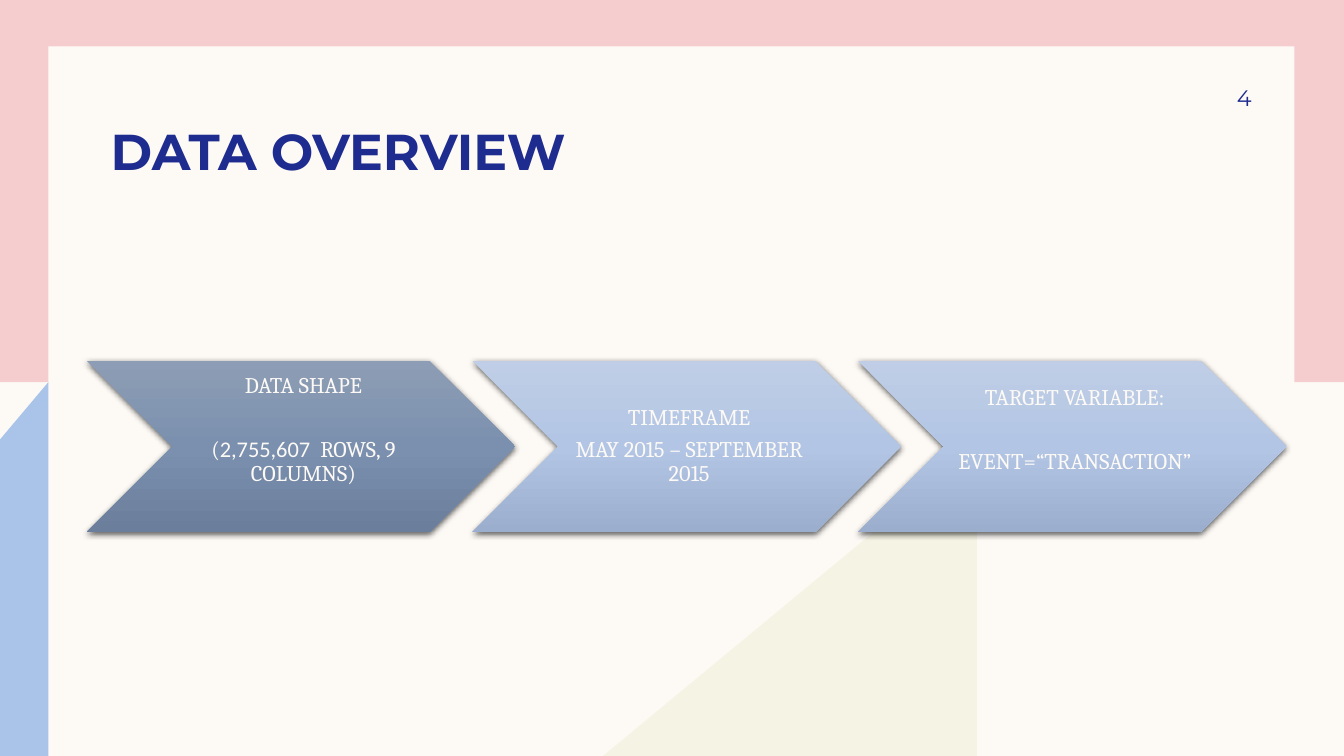
from copy import deepcopy

from lxml import etree
from pptx import Presentation
from pptx import util as u
from pptx.dml.color import RGBColor
from pptx.enum import shapes, text
from pptx.oxml.ns import qn

COLORS = {
    "cream": "FDFAF6", "pink": "F5CDCE", "sand": "EDEED3", "sky": "AAC3E8",
    "navy": "1F2C8F", "black": "000000",
}
SLATE = ("8D9DB5", "7B90AE", "6B7F9D")
PALE = ("BFCEE6", "B2C5E4", "9BAECD")


class Deck:
    """Holds the style and the current slide."""

    heading_font = "Montserrat"
    body_font = "Cambria"
    body_size = 16

    def __init__(self):
        self.prs = Presentation()
        self.prs.slide_width = u.Inches(13.33)
        self.prs.slide_height = u.Inches(7.5)
        self.slide = self.prs.slides.add_slide(self.prs.slide_layouts[6])
        self.paint(self.slide.background.fill, "cream")

    def paint(self, fill, color):
        fill.solid()
        fill.fore_color.rgb = RGBColor.from_string(COLORS[color])

    def plain(self, shape, color, alpha=None):
        shape.shadow.inherit = False
        shape.line.fill.background()
        self.paint(shape.fill, color)
        if alpha:
            rgb = shape._element.spPr.find(f".//{qn('a:srgbClr')}")
            etree.SubElement(rgb, qn("a:alpha"), val=str(alpha * 1000))

    def panel(self, box, color):
        rect = self.slide.shapes.add_shape(
            shapes.MSO_SHAPE.RECTANGLE, *map(u.Inches, box))
        self.plain(rect, color)

    def polygon(self, points, color, alpha=None):
        corners = [(u.Inches(x), u.Inches(y)) for x, y in points]
        builder = self.slide.shapes.build_freeform(*corners[0])
        builder.add_line_segments(corners[1:], close=True)
        self.plain(builder.convert_to_shape(), color, alpha)

    def run(self, paragraph, words, font, size, color, bold=False):
        run = paragraph.add_run()
        run.text = words
        style = {"name": font, "size": u.Pt(size), "bold": bold}
        for key, value in style.items():
            setattr(run.font, key, value)
        run.font.color.rgb = RGBColor.from_string(COLORS[color])

    def frame(self, shape, **settings):
        for key, value in {"word_wrap": True, **settings}.items():
            setattr(shape.text_frame, key, value)
        return shape.text_frame

    def label(self, box, words, size, bold=False, **settings):
        textbox = self.slide.shapes.add_textbox(*map(u.Inches, box))
        frame = self.frame(textbox, **settings)
        self.run(frame.paragraphs[0], words, self.heading_font, size, "navy", bold)

    def chevron(self, box, gradient, lines, gap, bottom):
        arrow = self.slide.shapes.add_shape(
            shapes.MSO_SHAPE.CHEVRON, *map(u.Inches, box))
        arrow.line.fill.background()
        self.shade(arrow, gradient)
        self.drop_shadow(arrow)
        frame = self.frame(
            arrow, vertical_anchor=text.MSO_ANCHOR.MIDDLE,
            margin_left=u.Inches(0.07), margin_right=u.Inches(0.02),
            margin_top=u.Inches(0.02), margin_bottom=u.Inches(bottom))
        for i, parts in enumerate(lines):
            paragraph = frame.add_paragraph() if i else frame.paragraphs[0]
            layout = {"alignment": text.PP_ALIGN.CENTER, "line_spacing": 0.9,
                      "space_before": u.Pt(gap if i else 0)}
            for key, value in layout.items():
                setattr(paragraph, key, value)
            for words, font in parts:
                self.run(paragraph, words, font, self.body_size, "cream")

    def shade(self, shape, gradient):
        shape.fill.gradient()
        shape.fill.gradient_angle = 270
        stop_list = shape._element.spPr.find(f".//{qn('a:gsLst')}")
        stop_list.insert(1, deepcopy(stop_list[0]))
        for i, stop in enumerate(shape.fill.gradient_stops):
            stop.position = i / 2
            stop.color.rgb = RGBColor.from_string(gradient[i])

    def drop_shadow(self, shape):
        shape.shadow.inherit = False
        effects = shape._element.spPr.find(qn("a:effectLst"))
        shadow = etree.SubElement(
            effects, qn("a:outerShdw"), blurRad=str(u.Pt(4.5)),
            dist=str(u.Pt(1.5)), dir="5400000", algn="ctr", rotWithShape="0")
        color = etree.SubElement(shadow, qn("a:srgbClr"), val=COLORS["black"])
        etree.SubElement(color, qn("a:alpha"), val="63000")


def main():
    deck = Deck()

    # Backdrop
    deck.panel((0, 0, 13.33, 3.79), "pink")
    deck.panel((0.48, 0.46, 12.36, 6.59), "cream")
    deck.polygon([(5.98, 7.5), (9.69, 4.43), (9.69, 7.5)], "sand", alpha=50)
    deck.polygon([(0.48, 3.79), (0.48, 7.5), (0, 7.5), (0, 4.36)], "sky")

    # Title and page number
    deck.label((1, 1.16, 9.26, 0.63), "DATA OVERVIEW", 36, bold=True,
               vertical_anchor=text.MSO_ANCHOR.BOTTOM,
               margin_top=0, margin_bottom=0)
    deck.label((12.17, 0.79, 0.59, 0.37), "4", 16)

    # Chevron process: gradient, lines, gap between lines, bottom margin
    body = deck.body_font
    steps = [
        (SLATE, [[("DATA SHAPE", body)],
                 [("(", body), ("2,755,607 ", "Calibri"),
                  (" ROWS, 9 COLUMNS)", body)]], 28.4, 0.34),
        (PALE, [[("TIMEFRAME", body)],
                [("MAY 2015 – SEPTEMBER 2015", body)]], 5.6, 0.02),
        (PALE, [[("TARGET VARIABLE:", body)],
                [("EVENT=“TRANSACTION”", body)]], 28.4, 0.34),
    ]
    for i, step in enumerate(steps):
        deck.chevron((0.86 + i * 3.825, 3.58, 4.25, 1.7), *step)

    deck.prs.save("out.pptx")


if __name__ == "__main__":
    main()
